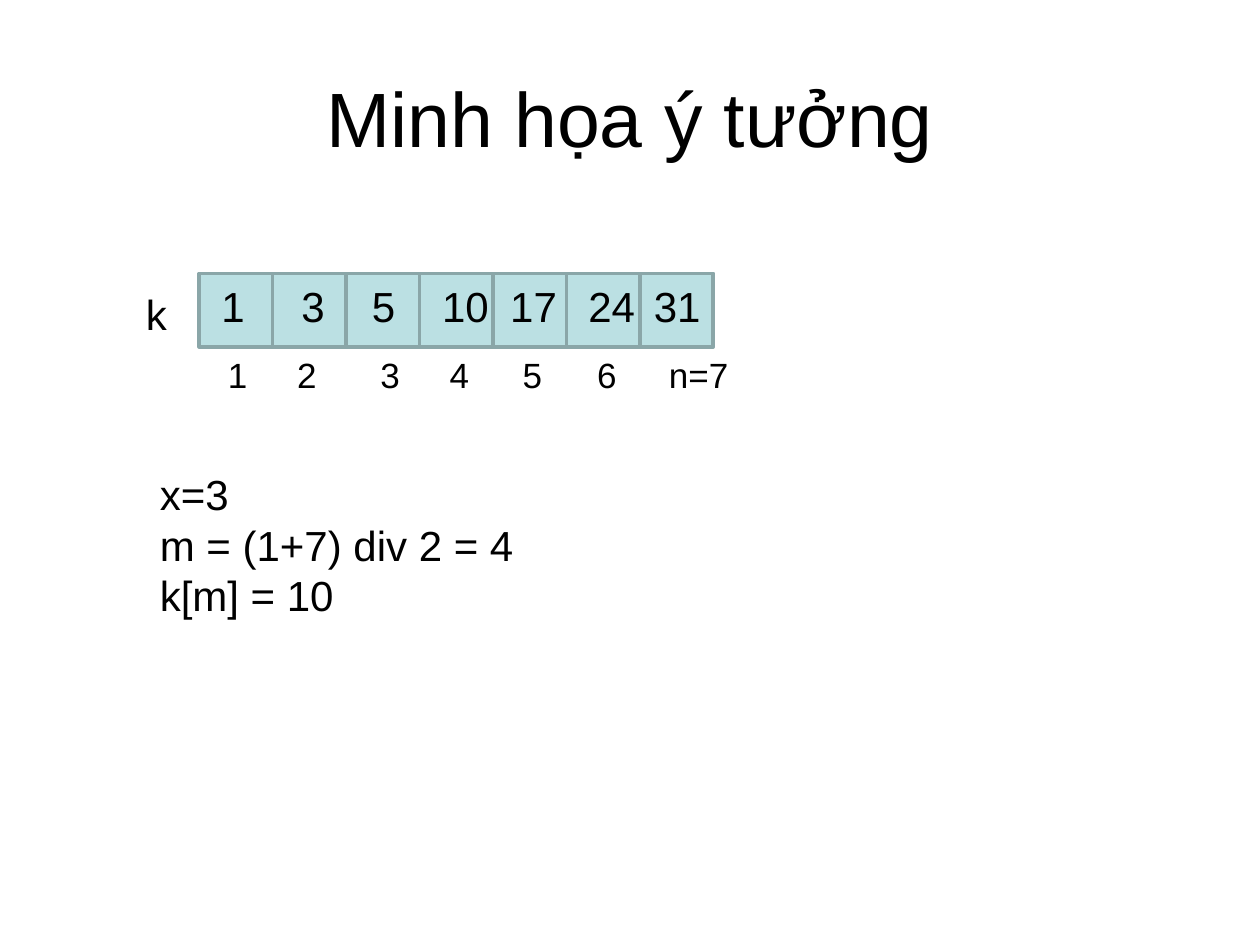
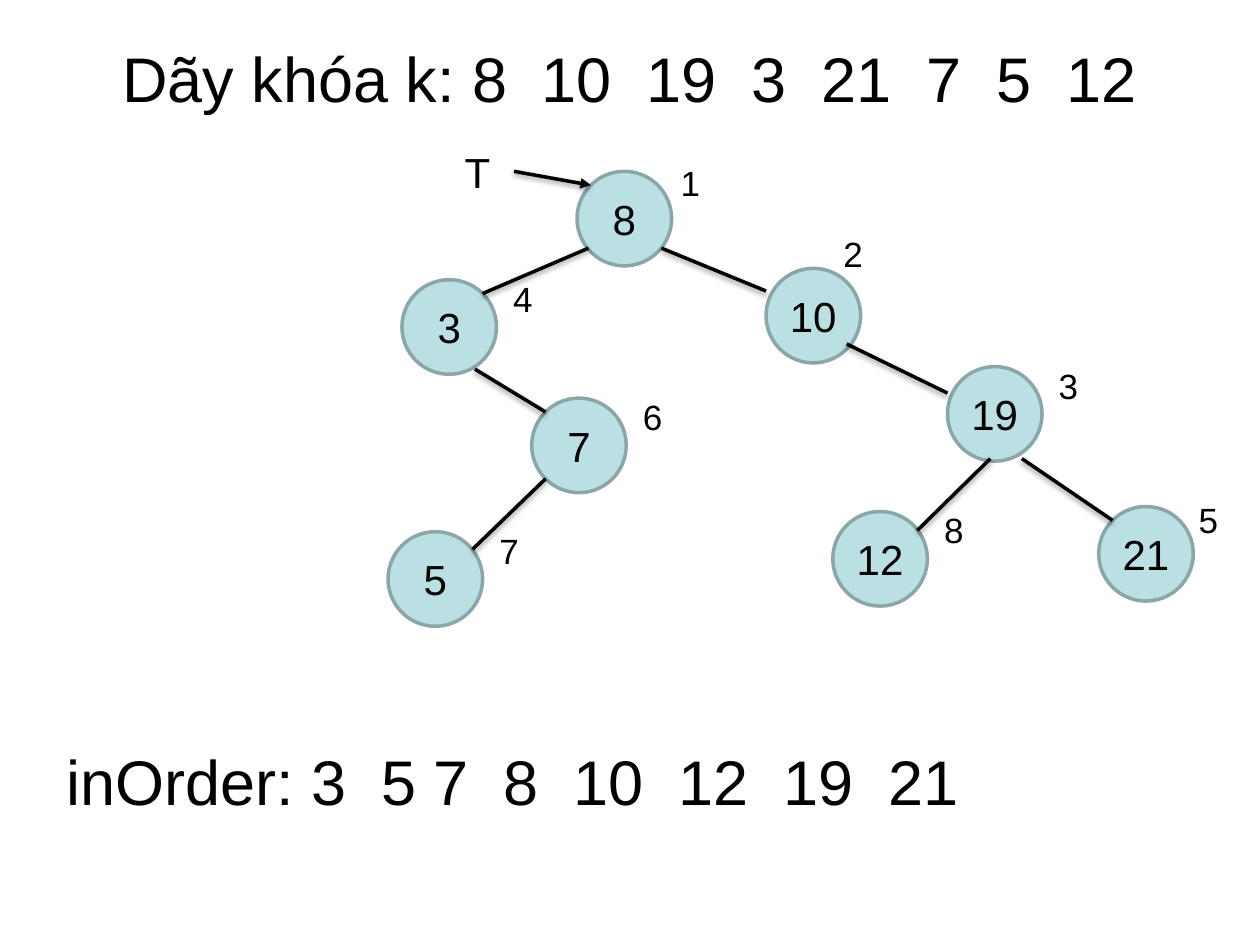
import pptx
import pptx.dml.color
import pptx.enum.shapes
import pptx.enum.text
import pptx.oxml
import pptx.util
from pptx.util import Inches

COLORS = {"fill": "BBE0E3", "outline": "8AA6A8", "text": "000000", "edge": "000000"}
FONT = "Arial"
TITLE_SIZE, HEADING_SIZE, KEY_SIZE, INDEX_SIZE = 44, 36, 24, 20
CENTER = pptx.enum.text.PP_ALIGN.CENTER
LEFT = pptx.enum.text.PP_ALIGN.LEFT
TOP = pptx.enum.text.MSO_ANCHOR.TOP
MIDDLE = pptx.enum.text.MSO_ANCHOR.MIDDLE
SHAPES = pptx.enum.shapes.MSO_SHAPE
DRAWING = "http://schemas.openxmlformats.org/drawingml/2006/main"
SHADOW = (
    f'<a:effectLst xmlns:a="{DRAWING}">'
    '<a:outerShdw blurRad="40000" dist="20000" dir="5400000" rotWithShape="0">'
    '<a:srgbClr val="000000"><a:alpha val="38000"/></a:srgbClr>'
    "</a:outerShdw></a:effectLst>"
)
ARROWHEAD = f'<a:tailEnd xmlns:a="{DRAWING}" type="triangle"/>'

# Sorted array: key, left of its text box, left of its index text box
CELL = 0.583
ARRAY_CELLS = [
    ("1", 0.0, 0.13), ("3", 0.59, 0.68), ("5", 1.15, 1.34), ("10", 1.8, 1.89),
    ("17", 2.34, 2.47), ("24", 2.96, 3.06), ("31", 3.48, 3.63),
]

# Search tree: key -> left, top, insertion order
NODE = 0.75
TREE_NODES = {
    "8": (1.58, 0.36, "1"), "10": (3.08, 1.13, "2"), "19": (4.52, 1.91, "3"),
    "3": (0.19, 1.22, "4"), "21": (5.72, 3.02, "5"), "7": (1.22, 2.16, "6"),
    "5": (0.08, 3.22, "7"), "12": (3.61, 3.06, "8"),
}
ORDER_OFFSET = (0.67, -0.07)
SPECIAL_OFFSETS = {"8": (0.61, -0.13), "10": (0.4, -0.33), "21": (0.58, -0.11)}
# Parent, point on the parent, child, point on the child
TREE_EDGES = [
    ("8", (0.09, 0.61), "3", (0.64, 0.11)),
    ("8", (0.67, 0.61), "10", (0, 0.18)),
    ("10", (0.64, 0.6), "19", (0, 0.21)),
    ("3", (0.58, 0.71), "7", (0.11, 0.11)),
    ("7", (0.11, 0.64), "5", (0.67, 0.14)),
    ("19", (0.34, 0.73), "12", (0.67, 0.15)),
    ("19", (0.59, 0.73), "21", (0.11, 0.11)),
]


def color(name):
    return pptx.dml.color.RGBColor.from_string(COLORS[name])


def write(shape, lines, size, align, anchor):
    frame = shape.text_frame
    frame.word_wrap = True
    frame.vertical_anchor = anchor
    frame.text = "\n".join(lines)
    for paragraph in frame.paragraphs:
        paragraph.alignment = align
        paragraph.font.name = FONT
        paragraph.font.size = pptx.util.Pt(size)
        paragraph.font.color.rgb = color("text")


def add_text(slide, box, lines, size, align=LEFT, anchor=TOP):
    shape = slide.shapes.add_textbox(*map(Inches, box))
    write(shape, lines, size, align, anchor)


def add_title(slide, text, size, height):
    add_text(slide, (0.5, 0.3, 9, height), [text], size, CENTER, MIDDLE)


def add_filled_shape(slide, kind, left, top, side):
    shape = slide.shapes.add_shape(kind, *map(Inches, (left, top, side, side)))
    shape.shadow.inherit = False
    shape.fill.solid()
    shape.fill.fore_color.rgb = color("fill")
    shape.line.color.rgb = color("outline")
    shape.line.width = pptx.util.Pt(2)
    return shape


def add_edge(slide, start, end, arrow=False):
    connector = slide.shapes.add_connector(
        pptx.enum.shapes.MSO_CONNECTOR.STRAIGHT, *map(Inches, start + end))
    connector.line.color.rgb = color("edge")
    connector.line.width = pptx.util.Pt(2)
    if arrow:
        connector.line._get_or_add_ln().append(pptx.oxml.parse_xml(ARROWHEAD))
    connector._element.spPr.append(pptx.oxml.parse_xml(SHADOW))


def add_array(slide, left, top):
    """Row of cells with the keys inside and the indices below."""
    for position in range(len(ARRAY_CELLS)):
        add_filled_shape(slide, SHAPES.RECTANGLE, left + position * CELL, top, CELL)
    add_text(slide, (left - 0.52, top + 0.07, 0.33, 0.5), ["k"], KEY_SIZE)
    for number, (key, key_left, index_left) in enumerate(ARRAY_CELLS, 1):
        first, last = number == 1, number == len(ARRAY_CELLS)
        key_box = (left + key_left + (0.08 if first else 0), top + 0.01,
                   0.33 if first else 0.63, 0.5)
        add_text(slide, key_box, [key], KEY_SIZE, LEFT if first else CENTER)
        index_box = (left + index_left, top + CELL, 0.88 if last else 0.33, 0.44)
        add_text(slide, index_box, [f"n={number}" if last else str(number)], INDEX_SIZE)


def add_tree(slide, left, top):
    """Binary search tree with insertion order beside each node."""
    for key, (node_left, node_top, order) in TREE_NODES.items():
        node_x, node_y = left + node_left, top + node_top
        node = add_filled_shape(slide, SHAPES.OVAL, node_x, node_y, NODE)
        write(node, [key], KEY_SIZE, CENTER, MIDDLE)
        node.text_frame.margin_left = node.text_frame.margin_right = 0
        shift_x, shift_y = SPECIAL_OFFSETS.get(key, ORDER_OFFSET)
        add_text(slide, (node_x + shift_x, node_y + shift_y, 0.58, 0.44),
                 [order], INDEX_SIZE, CENTER)

    def point(key, offset):
        node_left, node_top, _ = TREE_NODES[key]
        return left + node_left + offset[0], top + node_top + offset[1]

    for parent, parent_offset, child, child_offset in TREE_EDGES:
        add_edge(slide, point(parent, parent_offset), point(child, child_offset))

    # Root pointer
    add_text(slide, (left + 0.5, top + 0.11, 0.58, 0.5), ["T"], KEY_SIZE, CENTER)
    add_edge(slide, (left + 1.08, top + 0.36), point("8", (0.11, 0.11)), arrow=True)


def build_search_slide(slide):
    add_title(slide, "Minh họa ý tưởng", TITLE_SIZE, 1.25)
    add_array(slide, 1.58, 2.17)
    steps = ["x=3", "m = (1+7) div 2 = 4", "k[m] = 10"]
    add_text(slide, (1.17, 3.67, 6.5, 1.31), steps, KEY_SIZE)


def build_tree_slide(slide):
    add_title(slide, "Dãy khóa k: 8  10  19  3  21  7  5  12", HEADING_SIZE, 0.62)
    add_tree(slide, 3, 1)
    add_text(slide, (0.43, 5.88, 9, 0.62), ["inOrder: 3  5 7  8  10  12  19  21"],
             HEADING_SIZE, anchor=MIDDLE)


def main():
    presentation = pptx.Presentation()
    presentation.slide_width, presentation.slide_height = Inches(10), Inches(7.5)
    for build in (build_search_slide, build_tree_slide):
        build(presentation.slides.add_slide(presentation.slide_layouts[6]))
    presentation.save("out.pptx")


if __name__ == "__main__":
    main()
